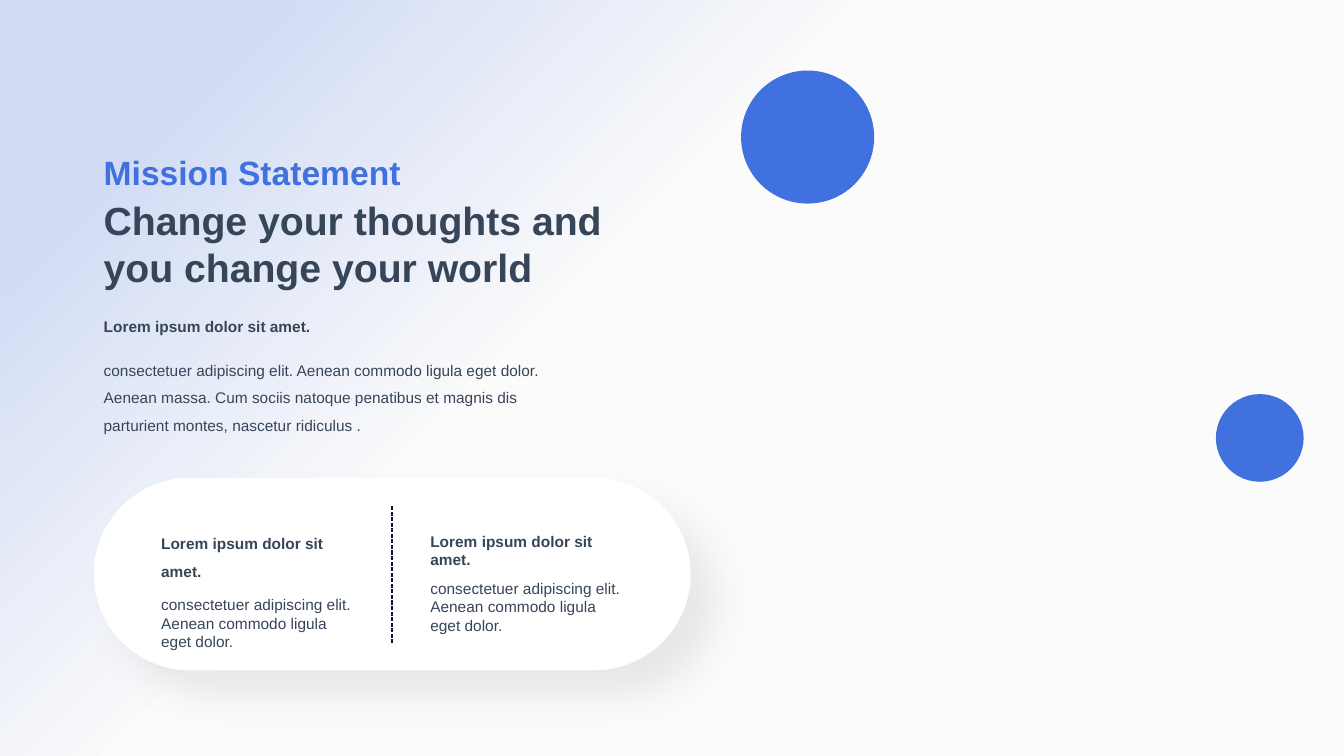
import dataclasses

import lxml.etree
import pptx
import pptx.dml.color
import pptx.enum.dml
import pptx.enum.shapes
import pptx.enum.text
import pptx.oxml.ns
import pptx.util

Inches = pptx.util.Inches
SHAPES = pptx.enum.shapes.MSO_SHAPE
ANCHORS = pptx.enum.text.MSO_ANCHOR


@dataclasses.dataclass(frozen=True)
class Theme:
    font: str = "Arial"
    background: str = "FBFBFB"
    accent: str = "4170DF"
    ink: str = "374558"
    card: str = "FFFFFF"
    divider: str = "071631"
    shadow: str = "000000"
    title_size: int = 28
    label_size: int = 24
    body_size: int = 11


def rgb(value):
    return pptx.dml.color.RGBColor.from_string(value)


def add_element(parent, tag, **attributes):
    element = lxml.etree.SubElement(parent, pptx.oxml.ns.qn(tag))
    for name, value in attributes.items():
        element.set(name, str(value))
    return element


def add_color(parent, color, alpha):
    element = add_element(parent, "a:srgbClr", val=color)
    add_element(element, "a:alpha", val=alpha * 1000)


def add_text(para, text, *, font, size, color, bold=False, spacing=1.0, before=0):
    para.line_spacing = spacing
    if before:
        para.space_before = pptx.util.Pt(before)
    span = para.add_run()
    span.text = text
    span.font.name = font
    span.font.size = pptx.util.Pt(size)
    span.font.bold = bold
    span.font.color.rgb = rgb(color)


class SlideBuilder:
    def __init__(self, page, theme):
        self.page = page
        self.theme = theme
        page.background.fill.solid()
        page.background.fill.fore_color.rgb = rgb(theme.background)

    def shape(self, kind, left, top, width, height, color=None):
        shape = self.page.shapes.add_shape(
            kind, Inches(left), Inches(top), Inches(width), Inches(height)
        )
        shape.shadow.inherit = False
        shape.line.fill.background()
        if color:
            shape.fill.solid()
            shape.fill.fore_color.rgb = rgb(color)
        else:
            shape.fill.background()
        return shape

    def gradient(self, left, top, width, height, stops, angle):
        shape = self.shape(SHAPES.RECTANGLE, left, top, width, height)
        properties = shape.element.spPr
        empty_fill = properties.find(pptx.oxml.ns.qn("a:noFill"))
        fill = add_element(properties, "a:gradFill", rotWithShape=1)
        properties.replace(empty_fill, fill)
        stop_list = add_element(fill, "a:gsLst")
        for position, alpha in stops:
            stop = add_element(stop_list, "a:gs", pos=position * 1000)
            add_color(stop, self.theme.accent, alpha)
        add_element(fill, "a:lin", ang=angle * 60000, scaled=0)

    def circle(self, left, top, diameter):
        self.shape(SHAPES.OVAL, left, top, diameter, diameter, self.theme.accent)

    def card(self, left, top, width, height):
        card = self.shape(
            SHAPES.ROUNDED_RECTANGLE, left, top, width, height, self.theme.card
        )
        card.adjustments[0] = 0.5
        effects = card.element.spPr.find(pptx.oxml.ns.qn("a:effectLst"))
        shadow = add_element(
            effects, "a:outerShdw", blurRad=pptx.util.Pt(28), dist=pptx.util.Pt(25),
            dir=45 * 60000, algn="tl", rotWithShape=0,
        )
        add_color(shadow, self.theme.shadow, 7)

    def divider(self, left, top, bottom):
        line = self.page.shapes.add_connector(
            pptx.enum.shapes.MSO_CONNECTOR.STRAIGHT,
            Inches(left), Inches(top), Inches(left), Inches(bottom),
        )
        line.line.color.rgb = rgb(self.theme.divider)
        line.line.width = pptx.util.Pt(1)
        line.line.dash_style = pptx.enum.dml.MSO_LINE.SQUARE_DOT
        add_element(line.element.spPr, "a:effectLst")

    def text_box(self, left, top, width, height, paragraphs, anchor=ANCHORS.TOP):
        box = self.page.shapes.add_textbox(
            Inches(left), Inches(top), Inches(width), Inches(height)
        )
        frame = box.text_frame
        frame.word_wrap = True
        frame.auto_size = pptx.enum.text.MSO_AUTO_SIZE.SHAPE_TO_FIT_TEXT
        frame.vertical_anchor = anchor
        base = dict(
            font=self.theme.font, size=self.theme.body_size, color=self.theme.ink
        )
        for index, (text, style) in enumerate(paragraphs):
            para = frame.add_paragraph() if index else frame.paragraphs[0]
            add_text(para, text, **{**base, **style})

    def passage(self, left, top, width, height, body, gap, lead_spacing, body_spacing):
        lead = "Lorem ipsum dolor sit amet."
        self.text_box(left, top, width, height, [
            (lead, dict(bold=True, spacing=lead_spacing)),
            (body, dict(spacing=body_spacing, before=gap)),
        ])


def main():
    theme = Theme()
    deck = pptx.Presentation()
    deck.slide_width = Inches(13.33)
    deck.slide_height = Inches(7.5)
    slide = SlideBuilder(deck.slides.add_slide(deck.slide_layouts[6]), theme)

    slide.gradient(0, 0, 13.33, 7.5, stops=[(13, 22), (41, 0)], angle=45)
    slide.circle(7.35, 0.7, 1.32)
    slide.circle(12.06, 3.91, 0.87)

    margin = 0.93
    short_body = "consectetuer adipiscing elit. Aenean commodo ligula eget dolor."
    long_body = (
        short_body + " Aenean massa. Cum sociis natoque penatibus et magnis dis "
        "parturient montes, nascetur ridiculus ."
    )
    slide.passage(margin, 3.01, 4.75, 1.34, long_body, 11, 1.5, 1.5)
    slide.text_box(margin, 1.3, 4.75, 0.66, [
        ("Mission Statement", dict(
            size=theme.label_size, color=theme.accent, bold=True, spacing=1.5)),
    ], ANCHORS.BOTTOM)
    slide.text_box(margin, 1.89, 5.58, 1.04, [
        ("Change your thoughts and you change your world", dict(
            size=theme.title_size, bold=True)),
    ], ANCHORS.MIDDLE)

    slide.card(margin, 4.74, 5.92, 1.91)
    slide.divider(3.89, 5.02, 6.39)
    slide.passage(1.5, 5.16, 2.15, 1.09, short_body, 10.5, 1.5, 1.0)
    slide.passage(4.17, 5.23, 2.17, 0.94, short_body, 7, 1.0, 1.0)

    deck.save("out.pptx")


if __name__ == "__main__":
    main()
